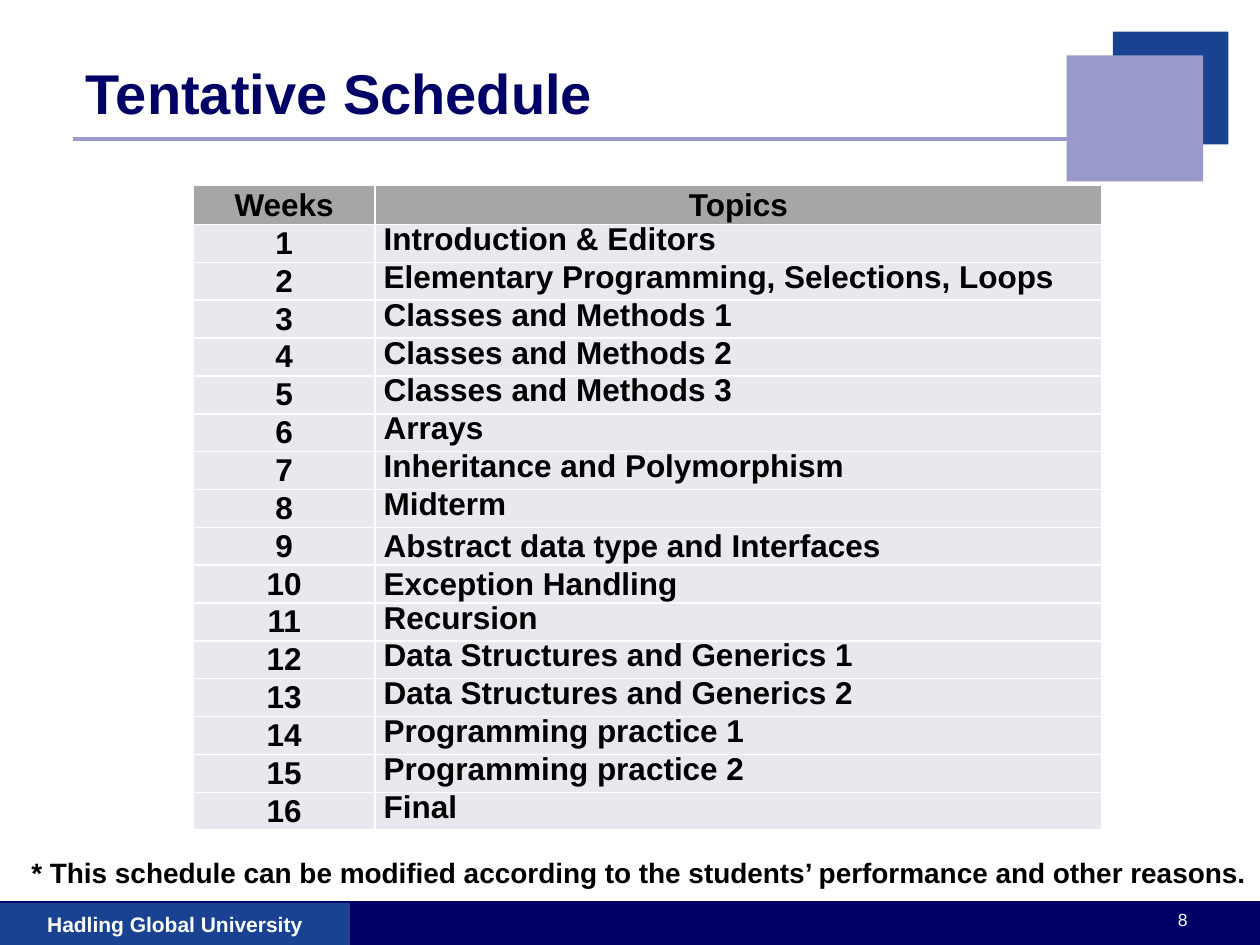
"""Build the tentative course schedule slide."""
from lxml.etree import SubElement
from pptx import Presentation
from pptx.dml.color import RGBColor
from pptx.enum.shapes import MSO_CONNECTOR, MSO_SHAPE
from pptx.enum.text import MSO_ANCHOR, PP_ALIGN
from pptx.oxml.ns import qn
from pptx.util import Pt

NAVY = RGBColor(0x00, 0x00, 0x66)
BLUE = RGBColor(0x19, 0x42, 0x93)
LILAC = RGBColor(0x99, 0x99, 0xCC)
GRAY = RGBColor(0xA6, 0xA6, 0xA6)
PALE = RGBColor(0xE7, 0xE9, 0xEE)
WHITE = RGBColor(0xFF, 0xFF, 0xFF)
BLACK = RGBColor(0x00, 0x00, 0x00)

FONT = "Arial"
TIGHT = 0.67
TOPICS = [
    ("Introduction & Editors", TIGHT),
    ("Elementary Programming, Selections, Loops", TIGHT),
    ("Classes and Methods 1", TIGHT),
    ("Classes and Methods 2", TIGHT),
    ("Classes and Methods 3", TIGHT),
    ("Arrays", TIGHT),
    ("Inheritance and Polymorphism", TIGHT),
    ("Midterm", TIGHT),
    ("Abstract data type and Interfaces", None),
    ("Exception Handling", None),
    ("Recursion", TIGHT),
    ("Data Structures and Generics 1", TIGHT),
    ("Data Structures and Generics 2", TIGHT),
    ("Programming practice 1", TIGHT),
    ("Programming practice 2", TIGHT),
    ("Final", TIGHT),
]


def add_text(tf, text, size, color, align=PP_ALIGN.LEFT, bold=True, spacing=None):
    p = tf.paragraphs[0]
    p.alignment = align
    if spacing:
        p.line_spacing = spacing
    r = p.add_run()
    r.text = text
    r.font.name = FONT
    r.font.size = Pt(size)
    r.font.bold = bold
    r.font.color.rgb = color


def add_box(s, x, y, w, h, color):
    sp = s.shapes.add_shape(MSO_SHAPE.RECTANGLE, Pt(x), Pt(y), Pt(w), Pt(h))
    sp.shadow.inherit = False
    sp.fill.solid()
    sp.fill.fore_color.rgb = color
    sp.line.fill.background()
    return sp


def add_label(s, x, y, w, h, text, size, color, anchor=MSO_ANCHOR.TOP):
    tf = s.shapes.add_textbox(Pt(x), Pt(y), Pt(w), Pt(h)).text_frame
    tf.word_wrap = True
    tf.vertical_anchor = anchor
    add_text(tf, text, size, color)


def add_rule(s, x1, x2, y):
    line = s.shapes.add_connector(MSO_CONNECTOR.STRAIGHT, Pt(x1), Pt(y), Pt(x2), Pt(y))
    line.line.color.rgb = LILAC
    line.line.width = Pt(2)
    SubElement(line._element.spPr, qn("a:effectLst"))


def set_borders(cell):
    tc_pr = cell._tc.get_or_add_tcPr()
    for side in ("a:lnL", "a:lnR", "a:lnT", "a:lnB"):
        ln = SubElement(tc_pr, qn(side), w=str(Pt(1)))
        fill = SubElement(ln, qn("a:solidFill"))
        SubElement(fill, qn("a:srgbClr"), val=str(WHITE))


def fill_cell(cell, text, color, margins, align, spacing=None):
    set_borders(cell)
    cell.fill.solid()
    cell.fill.fore_color.rgb = color
    cell.vertical_anchor = MSO_ANCHOR.MIDDLE
    side, top = margins
    cell.margin_left = cell.margin_right = Pt(side)
    cell.margin_top, cell.margin_bottom = Pt(top), Pt(0)
    add_text(cell.text_frame, text, 18, BLACK, align, spacing=spacing)


def add_schedule(s, x, y, widths, head_h, row_h):
    count = len(TOPICS)
    table = s.shapes.add_table(count + 1, 2, Pt(x), Pt(y), Pt(sum(widths)),
                               Pt(head_h + count * row_h)).table
    for col, width in zip(table.columns, widths):
        col.width = Pt(width)
    for i, row in enumerate(table.rows):
        row.height = Pt(row_h if i else head_h)
    for col, text in enumerate(("Weeks", "Topics")):
        fill_cell(table.cell(0, col), text, GRAY, (0.7, 0.7), PP_ALIGN.CENTER)
    for week, (topic, spacing) in enumerate(TOPICS, 1):
        fill_cell(table.cell(week, 0), str(week), PALE, (5, 0), PP_ALIGN.CENTER)
        fill_cell(table.cell(week, 1), topic, PALE, (5, 0), PP_ALIGN.LEFT, spacing)


def main():
    prs = Presentation()
    prs.slide_width, prs.slide_height = Pt(720), Pt(540)
    s = prs.slides.add_slide(prs.slide_layouts[6])

    add_box(s, 0, 515, 720, 25, NAVY)
    add_rule(s, 41.8, 612, 79.3)
    add_box(s, 636, 18, 66, 64.5, BLUE)
    add_box(s, 609.5, 31.7, 78, 72, LILAC)
    school = add_box(s, 0, 516, 200, 24, BLUE).text_frame
    school.word_wrap = True
    school.vertical_anchor = MSO_ANCHOR.MIDDLE
    add_text(school, "Hadling Global University", 12, WHITE, PP_ALIGN.CENTER)

    add_label(s, 42, 22.5, 552, 60, "Tentative Schedule", 32, NAVY, MSO_ANCHOR.MIDDLE)
    add_label(s, 10.8, 485.3, 713, 26.6,
              "* This schedule can be modified according to the students’ "
              "performance and other reasons.", 16, BLACK)
    add_schedule(s, 110.5, 106, (103.8, 415.5), 22, 21.6)

    number = add_box(s, 535.7, 516, 150, 24, NAVY).text_frame
    number.vertical_anchor = MSO_ANCHOR.TOP
    add_text(number, "8", 10, WHITE, PP_ALIGN.RIGHT, bold=False)

    prs.save("out.pptx")


main()
